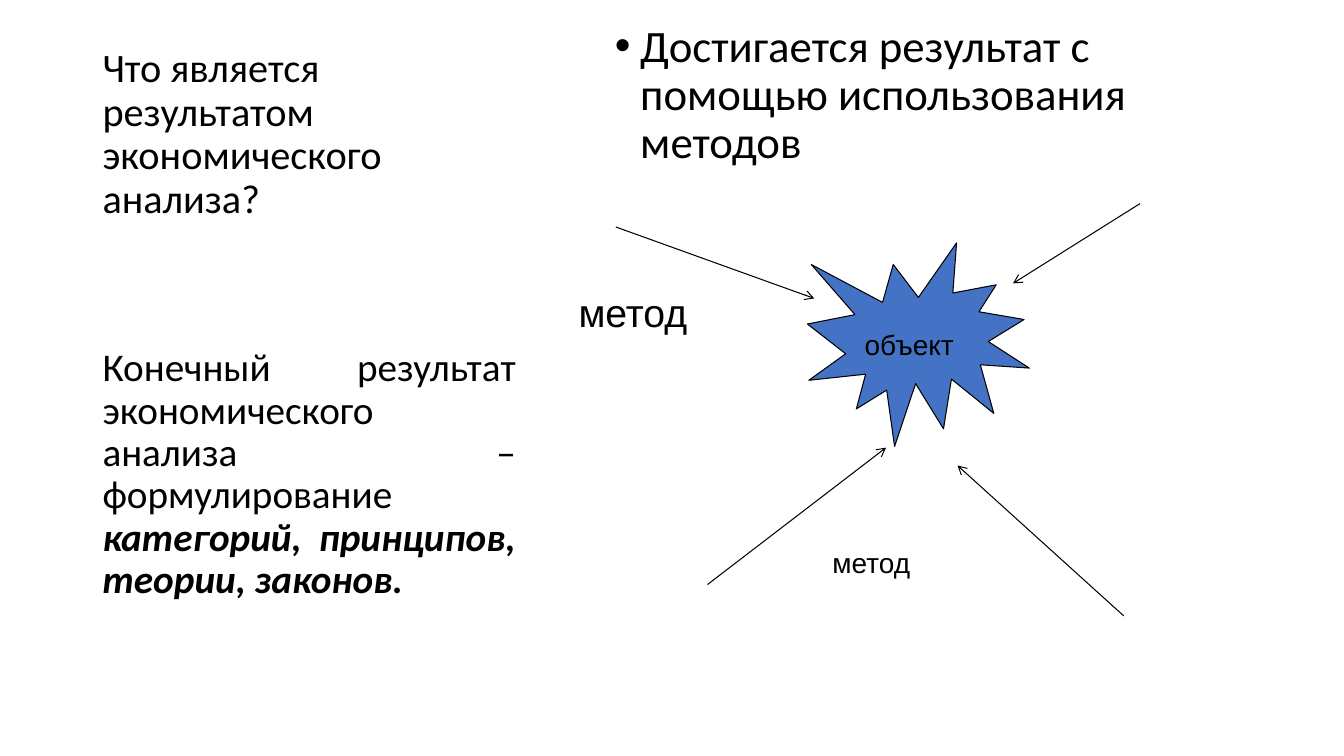
"""Build a slide on the result of economic analysis, with methods pointing at the object."""
import dataclasses
import typing

import lxml.etree
import pptx
import pptx.dml.color
import pptx.enum.shapes
import pptx.enum.text
import pptx.oxml.ns
import pptx.util

Cm = pptx.util.Cm
Pt = pptx.util.Pt
RGB = pptx.dml.color.RGBColor
Align = pptx.enum.text.PP_ALIGN
Anchor = pptx.enum.text.MSO_ANCHOR
AutoSize = pptx.enum.text.MSO_AUTO_SIZE
qn = pptx.oxml.ns.qn


@dataclasses.dataclass(frozen=True)
class Theme:
    ink: RGB = RGB(0, 0, 0)
    accent: RGB = RGB(0x44, 0x72, 0xC4)
    text_font: str = "Calibri"
    label_font: str = "Arial"
    title_size: float = 28.8
    lead_size: float = 32
    body_size: float = 28
    label_size: float = 20
    line_width: float = 0.75
    spacing: float = 0.9


class Box(typing.NamedTuple):
    left: float
    top: float
    width: float
    height: float


class Label(typing.NamedTuple):
    text: str
    box: Box
    size: float


class Arrow(typing.NamedTuple):
    x1: float
    y1: float
    x2: float
    y2: float


THEME = Theme()
STAR = Box(20.35, 6.12, 5.59, 5.13)
LABELS = [
    Label("объект", Box(21.54, 8.13, 3.61, 1.12), THEME.label_size),
    Label("метод", Box(14.33, 7.14, 4.6, 1.45), THEME.body_size),
    Label("метод", Box(20.73, 13.61, 3.4, 1.12), THEME.label_size),
]
ARROWS = [
    Arrow(15.52, 5.72, 20.52, 7.52),
    Arrow(28.73, 5.13, 25.53, 7.14),
    Arrow(17.83, 14.73, 22.33, 11.28),
    Arrow(28.32, 15.52, 24.13, 11.73),
]


def add_text(p, text: str, *, size: float, font: str = THEME.text_font,
             bold: bool = False, italic: bool = False) -> None:
    """Append a formatted run to a paragraph."""
    r = p.add_run()
    r.text = text
    r.font.name = font
    r.font.size = Pt(size)
    r.font.bold = bold
    r.font.italic = italic
    r.font.color.rgb = THEME.ink


def place(sp, box: Box, anchor: Anchor, align: Align, top_inset: float = 0.13):
    """Move a placeholder and return its first paragraph."""
    sp.left, sp.top, sp.width, sp.height = map(Cm, box)
    tf = sp.text_frame
    tf.word_wrap = True
    tf.auto_size = AutoSize.NONE
    tf.vertical_anchor = anchor
    tf.margin_top = Cm(top_inset)
    p = tf.paragraphs[0]
    p.alignment = align
    p.line_spacing = THEME.spacing
    p.space_before = Pt(0)
    return p


def add_bullet(p, indent: float) -> None:
    """Give a paragraph a hanging round bullet."""
    pPr = p._p.get_or_add_pPr()
    pPr.set("marL", str(Cm(indent)))
    pPr.set("indent", str(-Cm(indent)))
    lxml.etree.SubElement(pPr, qn("a:buFont")).set("typeface", "Arial")
    lxml.etree.SubElement(pPr, qn("a:buChar")).set("char", "•")


def style_line(line) -> None:
    """Apply the thin outline."""
    line.color.rgb = THEME.ink
    line.width = Pt(THEME.line_width)


def add_star(slide, box: Box) -> None:
    """Draw the burst that stands for the object."""
    sp = slide.shapes.add_shape(
        pptx.enum.shapes.MSO_SHAPE.EXPLOSION1, *map(Cm, box))
    sp.shadow.inherit = False
    sp.fill.solid()
    sp.fill.fore_color.rgb = THEME.accent
    style_line(sp.line)


def add_label(slide, label: Label) -> None:
    """Add a caption to the diagram."""
    sp = slide.shapes.add_textbox(*map(Cm, label.box))
    tf = sp.text_frame
    tf.word_wrap = True
    tf.auto_size = AutoSize.SHAPE_TO_FIT_TEXT
    add_text(tf.paragraphs[0], label.text, size=label.size, font=THEME.label_font)


def add_arrow(slide, arrow: Arrow) -> None:
    """Draw a line with an open arrowhead at its end."""
    sp = slide.shapes.add_connector(
        pptx.enum.shapes.MSO_CONNECTOR.STRAIGHT, *map(Cm, arrow))
    style_line(sp.line)
    ln = sp.line._get_or_add_ln()
    lxml.etree.SubElement(ln, qn("a:tailEnd")).set("type", "arrow")
    lxml.etree.SubElement(sp._element.spPr, qn("a:effectLst"))


def main() -> None:
    """Build and save the slide."""
    prs = pptx.Presentation()
    prs.slide_width, prs.slide_height = Cm(33.87), Cm(19.05)
    slide = prs.slides.add_slide(prs.slide_layouts.get_by_name("Content with Caption"))
    title, lead, body = slide.placeholders

    p = place(title, Box(2.33, 1.27, 10.92, 4.45), Anchor.BOTTOM, Align.LEFT)
    add_text(p, "Что является результатом экономического анализа?", size=THEME.title_size)

    p = place(lead, Box(15.24, 0.46, 14.2, 16.26), Anchor.TOP, Align.LEFT)
    add_bullet(p, 0.64)
    add_text(p, "Достигается результат с помощью использования методов", size=THEME.lead_size)

    p = place(body, Box(2.33, 5.72, 10.92, 10.59), Anchor.TOP, Align.JUSTIFY, top_inset=3.05)
    add_text(p, "Конечный результат экономического анализа – формулирование ",
             size=THEME.body_size)
    add_text(p, "категорий, принципов, теории, законов.",
             size=THEME.body_size, bold=True, italic=True)

    add_star(slide, STAR)
    for arrow in ARROWS:
        add_arrow(slide, arrow)
    for label in LABELS:
        add_label(slide, label)
    prs.save("out.pptx")


if __name__ == "__main__":
    main()
